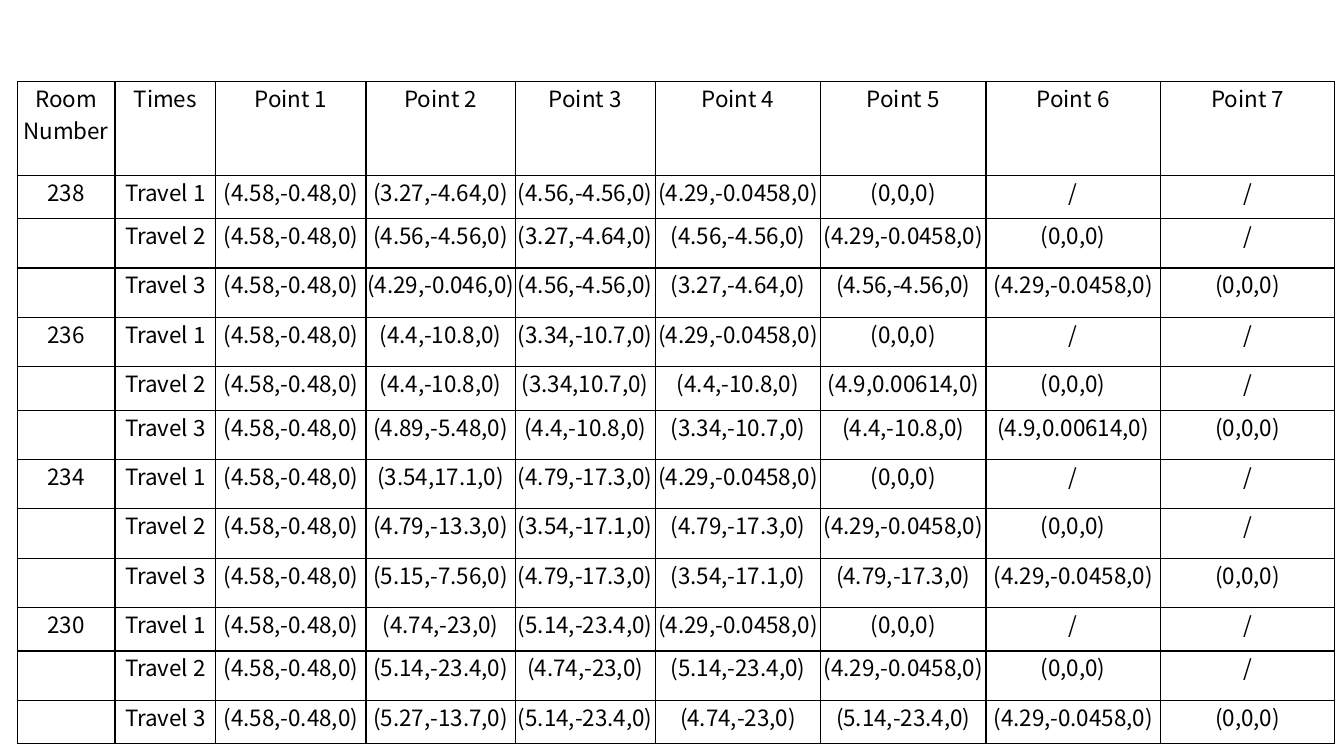
from lxml import etree
from pptx import Presentation
from pptx import util as u
from pptx.dml.color import RGBColor
from pptx.enum import text
from pptx.oxml import ns

SLIDE_WIDTH, SLIDE_HEIGHT = 13.33, 7.5
COLORS = {"ink": "000000", "rule": "000000"}
FONT = {"name": "Noto Sans CJK SC", "size": u.Pt(16), "bold": False}
CELL = {"margin_left": 0, "margin_right": 0, "margin_top": 0, "margin_bottom": 0,
        "vertical_anchor": text.MSO_ANCHOR.TOP}
PLAIN_TABLE = {"first_row": False, "horz_banding": False}

TABLE_LEFT, TABLE_TOP = 0.17, 0.81
COLUMN_WIDTHS = [0.97, 1, 1.49, 1.48, 1.39, 1.64, 1.64, 1.73, 1.73]
HEADER_HEIGHT, TALL_ROW, SHORT_ROW = 0.93, 0.49, 0.43
SHORT_ROWS = {1, 5, 10, 12}

POINT_COUNT = 7
START, HOME, UNUSED = "(4.58,-0.48,0)", "(0,0,0)", "/"
DOOR = "(4.29,-0.0458,0)"
# Stops between the start and home, one list per travel
ROOM_STOPS = {
    "238": [
        ["(3.27,-4.64,0)", "(4.56,-4.56,0)", DOOR],
        ["(4.56,-4.56,0)", "(3.27,-4.64,0)", "(4.56,-4.56,0)", DOOR],
        ["(4.29,-0.046,0)", "(4.56,-4.56,0)", "(3.27,-4.64,0)", "(4.56,-4.56,0)", DOOR],
    ],
    "236": [
        ["(4.4,-10.8,0)", "(3.34,-10.7,0)", DOOR],
        ["(4.4,-10.8,0)", "(3.34,10.7,0)", "(4.4,-10.8,0)", "(4.9,0.00614,0)"],
        ["(4.89,-5.48,0)", "(4.4,-10.8,0)", "(3.34,-10.7,0)", "(4.4,-10.8,0)",
         "(4.9,0.00614,0)"],
    ],
    "234": [
        ["(3.54,17.1,0)", "(4.79,-17.3,0)", DOOR],
        ["(4.79,-13.3,0)", "(3.54,-17.1,0)", "(4.79,-17.3,0)", DOOR],
        ["(5.15,-7.56,0)", "(4.79,-17.3,0)", "(3.54,-17.1,0)", "(4.79,-17.3,0)", DOOR],
    ],
    "230": [
        ["(4.74,-23,0)", "(5.14,-23.4,0)", DOOR],
        ["(5.14,-23.4,0)", "(4.74,-23,0)", "(5.14,-23.4,0)", DOOR],
        ["(5.27,-13.7,0)", "(5.14,-23.4,0)", "(4.74,-23,0)", "(5.14,-23.4,0)", DOOR],
    ],
}


def apply_format(target, values):
    for attribute, value in values.items():
        setattr(target, attribute, value)


def travel_rows():
    """Header and one row per travel, padded to the full number of points."""
    rows = [["Room Number", "Times"] + [f"Point {n + 1}" for n in range(POINT_COUNT)]]
    for room, travels in ROOM_STOPS.items():
        for number, stops in enumerate(travels, 1):
            route = [START, *stops, HOME]
            padding = [UNUSED] * (POINT_COUNT - len(route))
            rows.append([room if number == 1 else "", f"Travel {number}", *route, *padding])
    return rows


def add_cell_borders(cell):
    properties = cell._tc.get_or_add_tcPr()
    for side in ("a:lnL", "a:lnR", "a:lnT", "a:lnB"):
        border = etree.SubElement(properties, ns.qn(side), w=str(u.Pt(1)))
        fill = etree.SubElement(border, ns.qn("a:solidFill"))
        etree.SubElement(fill, ns.qn("a:srgbClr"), val=COLORS["rule"])


def fill_cell(cell, words):
    apply_format(cell, CELL)
    add_cell_borders(cell)
    cell.fill.background()
    paragraph = cell.text_frame.paragraphs[0]
    paragraph.alignment = text.PP_ALIGN.CENTER
    if words:
        run = paragraph.add_run()
        run.text = words
        apply_format(run.font, FONT)
        run.font.color.rgb = RGBColor.from_string(COLORS["ink"])


def add_travel_table(slide, rows):
    heights = [HEADER_HEIGHT] + [SHORT_ROW if n in SHORT_ROWS else TALL_ROW
                                 for n in range(1, len(rows))]
    travels = slide.shapes.add_table(
        len(rows), len(COLUMN_WIDTHS), u.Inches(TABLE_LEFT), u.Inches(TABLE_TOP),
        u.Inches(sum(COLUMN_WIDTHS)), u.Inches(sum(heights))).table
    apply_format(travels, PLAIN_TABLE)
    for column, width in zip(travels.columns, COLUMN_WIDTHS):
        column.width = u.Inches(width)
    for row, height, entries in zip(travels.rows, heights, rows):
        row.height = u.Inches(height)
        for cell, words in zip(row.cells, entries):
            fill_cell(cell, words)


def main():
    deck = Presentation()
    deck.slide_width, deck.slide_height = u.Inches(SLIDE_WIDTH), u.Inches(SLIDE_HEIGHT)
    slide = deck.slides.add_slide(deck.slide_layouts[6])
    add_travel_table(slide, travel_rows())
    deck.save("out.pptx")


if __name__ == "__main__":
    main()
